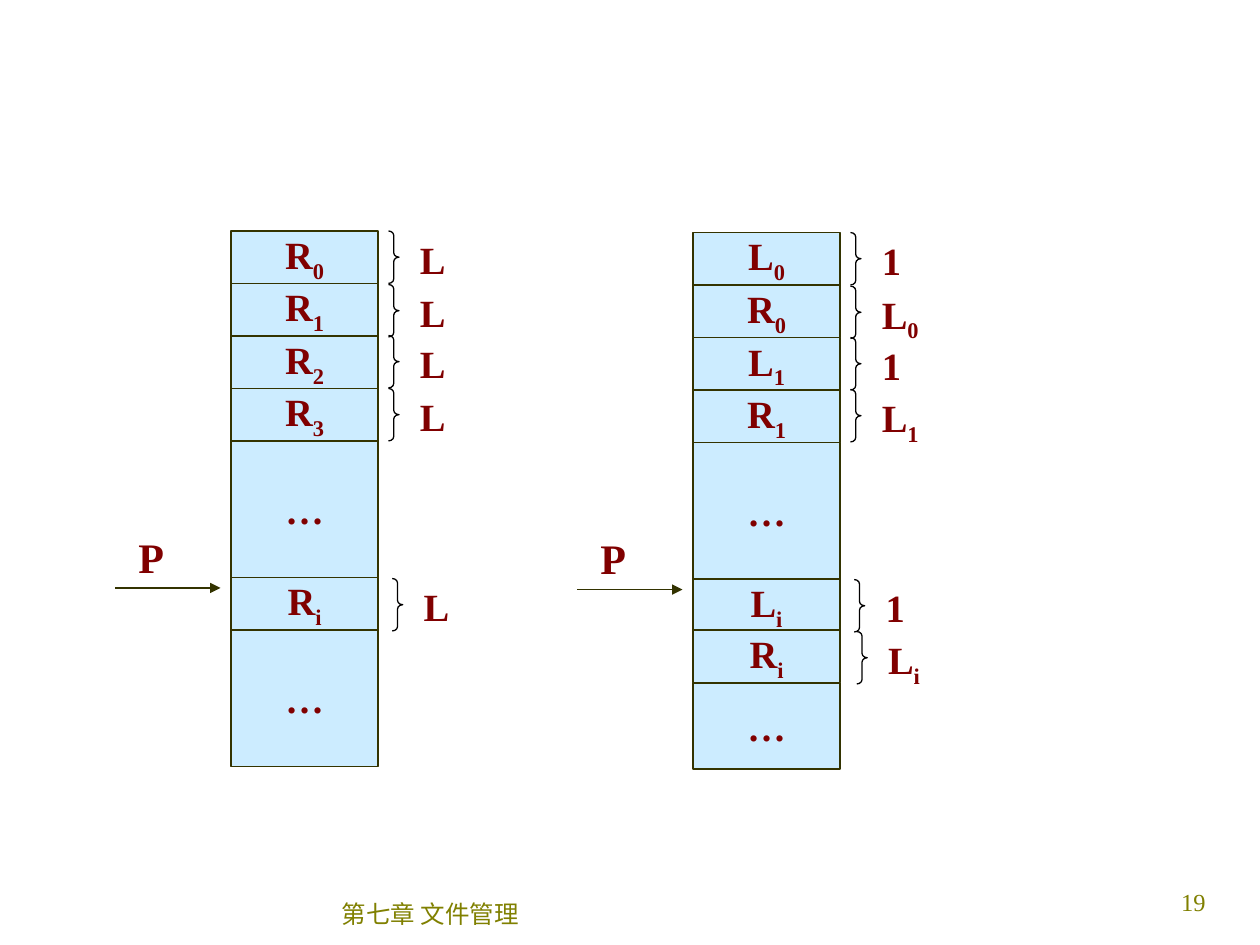
"""Build the slide comparing fixed-length and variable-length record files."""
from lxml import etree
from pptx import Presentation
from pptx import util as u
from pptx.dml.color import RGBColor
from pptx.enum import shapes, text
from pptx.oxml import ns

COLORS = {"cell": "CCECFF", "edge": "333300", "brace": "010000", "label": "800000", "footer": "808000"}
GRID = u.Inches(10) / 120
ROW, TALL = 5, 13
SERIF = "Times New Roman"
FORMATS = {
    "record": {"name": SERIF, "size": u.Pt(22), "bold": True, "color": "label"},
    "pointer": {"name": SERIF, "size": u.Pt(24), "bold": True, "color": "label"},
    "number": {"name": SERIF, "size": u.Pt(14), "color": "footer"},
    "footer": {"name": "Arial", "size": u.Pt(14), "color": "footer"},
}
LABEL_SIZES = {"L": (4.8, 5.6), "1": (4.2, 5.6), "L0": (5.9, 6.2), "L1": (5.9, 6.2), "Li": (5.4, 6.2)}
FIXED = {
    "left": 22, "top": 22,
    "cells": [("R0", 0, ROW), ("R1", 5, ROW), ("R2", 10, ROW), ("R3", 15, ROW),
              ("…", 20, TALL), ("Ri", 33, ROW), ("…", 38, TALL)],
    "braces": [("L", 0, 0), ("L", 0, 5.1), ("L", 0, 9.95), ("L", 0, 15), ("L", 0.36, 33.1)],
}
VARIABLE = {
    "left": 66, "top": 22.15,
    "cells": [("L0", 0, ROW), ("R0", 5, ROW), ("L1", 10, ROW), ("R1", 15, ROW),
              ("…", 20, TALL), ("Li", 33, ROW), ("…", 42.9, 8.2), ("Ri", 37.85, ROW)],
    "braces": [("1", 0, 0), ("L0", 0, 5.1), ("1", 0, 10), ("L1", 0, 14.95),
               ("1", 0.36, 33.05), ("Li", 0.6, 38)],
}


def grid(*counts):
    """Convert grid counts to lengths."""
    return [u.Emu(round(count * GRID)) for count in counts]


def color(name):
    """Look up a named colour."""
    return RGBColor.from_string(COLORS[name])


def add_run(paragraph, words, style):
    """Append a run in a named format and return it."""
    run = paragraph.add_run()
    run.text = words
    for attribute, value in FORMATS[style].items():
        if attribute == "color":
            run.font.color.rgb = color(value)
        else:
            setattr(run.font, attribute, value)
    return run


def write_symbol(frame, symbol, style, align):
    """Write a letter followed by its optional subscript."""
    frame.word_wrap = False
    paragraph = frame.paragraphs[0]
    paragraph.alignment = align
    add_run(paragraph, symbol[0], style)
    if symbol[1:]:
        run = add_run(paragraph, symbol[1:], style)
        run._r.get_or_add_rPr().set("baseline", "-25000")


def style_line(line, name):
    """Give an outline its colour and width."""
    line.color.rgb = color(name)
    line.width = u.Pt(0.75)


def add_cell(group, symbol, left, top, height):
    """Add one storage cell."""
    shape = group.shapes.add_shape(shapes.MSO_SHAPE.RECTANGLE, *grid(left, top, 14, height))
    shape.shadow.inherit = False
    shape.fill.solid()
    shape.fill.fore_color.rgb = color("cell")
    style_line(shape.line, "edge")
    shape.text_frame.vertical_anchor = text.MSO_ANCHOR.MIDDLE
    write_symbol(shape.text_frame, symbol, "record", text.PP_ALIGN.CENTER)


def add_symbol(group, symbol, style, *box):
    """Add a free-standing letter."""
    shape = group.shapes.add_textbox(*grid(*box))
    write_symbol(shape.text_frame, symbol, style, text.PP_ALIGN.LEFT)


def add_brace(group, symbol, left, top):
    """Add a right brace with its length label."""
    shape = group.shapes.add_shape(shapes.MSO_SHAPE.RIGHT_BRACE, *grid(left, top, 1, ROW))
    shape.adjustments[0] = 0.42
    shape.shadow.inherit = False
    shape.fill.background()
    style_line(shape.line, "brace")
    add_symbol(group, symbol, "record", left + 1.8, top - 0.15, *LABEL_SIZES[symbol])


def add_pointer(group, left, top):
    """Add the arrow that points at the current record."""
    connector = group.shapes.add_connector(shapes.MSO_CONNECTOR.STRAIGHT, *grid(left, top, left + 10, top))
    style_line(connector.line, "edge")
    etree.SubElement(connector.line._get_or_add_ln(), ns.qn("a:tailEnd"), type="triangle")
    etree.SubElement(connector._element.spPr, ns.qn("a:effectLst"))
    add_symbol(group, "P", "pointer", left + 1, top - 6, 4.8, 6)


def add_file(slide, layout):
    """Add a column of records with its braces and pointer."""
    group = slide.shapes.add_group_shape()
    left, top = layout["left"], layout["top"]
    for symbol, row, height in layout["cells"]:
        add_cell(group, symbol, left, top + row, height)
    add_pointer(group, left - 11, top + 34)
    for symbol, shift, row in layout["braces"]:
        add_brace(group, symbol, left + 15 + shift, top + row)


def add_footer(slide, words, style, align, anchor, *box):
    """Add a line of footer text."""
    frame = slide.shapes.add_textbox(*grid(*box)).text_frame
    frame.word_wrap = True
    frame.vertical_anchor = anchor
    frame.paragraphs[0].alignment = align
    add_run(frame.paragraphs[0], words, style)


def main():
    """Build and save the presentation."""
    presentation = Presentation()
    presentation.slide_width, presentation.slide_height = grid(120, 90)
    slide = presentation.slides.add_slide(presentation.slide_layouts[6])
    add_footer(slide, "19", "number", text.PP_ALIGN.RIGHT, text.MSO_ANCHOR.TOP, 91, 83.9, 25, 6)
    for layout in (FIXED, VARIABLE):
        add_file(slide, layout)
    add_footer(slide, "第七章 文件管理", "footer", text.PP_ALIGN.CENTER, text.MSO_ANCHOR.MIDDLE, 22, 84, 38, 6)
    presentation.save("out.pptx")


if __name__ == "__main__":
    main()
